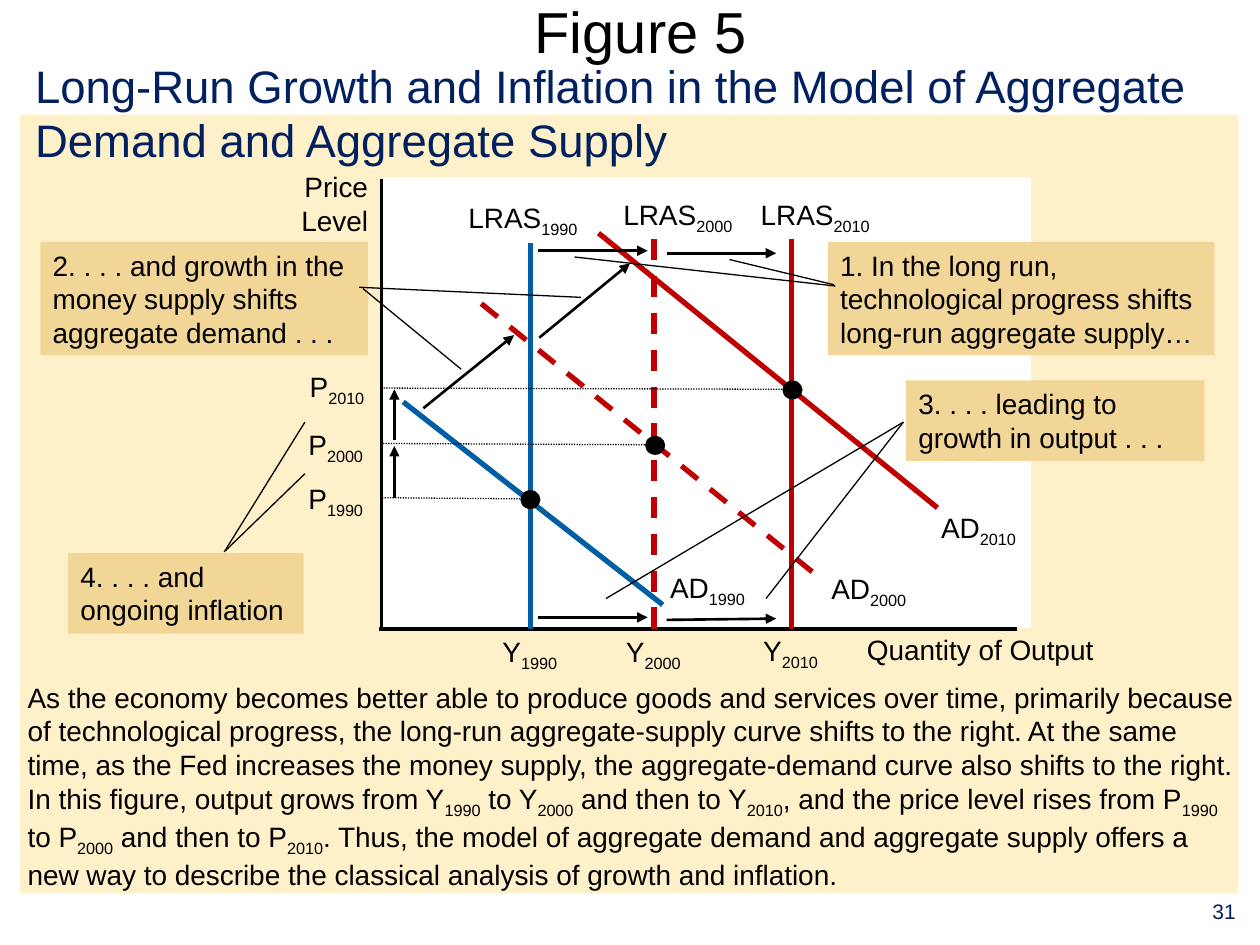
from lxml import etree
from pptx import Presentation
from pptx.dml.color import RGBColor
from pptx.enum.dml import MSO_LINE
from pptx.enum.shapes import MSO_CONNECTOR, MSO_SHAPE
from pptx.enum.text import MSO_ANCHOR, MSO_AUTO_SIZE, PP_ALIGN
from pptx.oxml.ns import qn
from pptx.util import Inches, Pt

BLACK = RGBColor(0x00, 0x00, 0x00)
WHITE = RGBColor(0xFF, 0xFF, 0xFF)
NAVY = RGBColor(0x00, 0x20, 0x60)
BLUE = RGBColor(0x00, 0x5E, 0xA4)
RED = RGBColor(0xC0, 0x00, 0x00)
CREAM = RGBColor(0xFE, 0xF0, 0xC8)
TAN = RGBColor(0xF2, 0xD6, 0x98)
LEFT, CENTER, RIGHT = PP_ALIGN.LEFT, PP_ALIGN.CENTER, PP_ALIGN.RIGHT
TOP, MIDDLE = MSO_ANCHOR.TOP, MSO_ANCHOR.MIDDLE
DASH, DOTS = MSO_LINE.DASH, MSO_LINE.ROUND_DOT
STRAIGHT = MSO_CONNECTOR.STRAIGHT
RECTANGLE, OVAL = MSO_SHAPE.RECTANGLE, MSO_SHAPE.OVAL
NO_AUTOFIT = MSO_AUTO_SIZE.NONE


def write_text(box, text, size=16, color=BLACK, align=LEFT, anchor=TOP, wrap=True, before=0):
    frame = box.text_frame
    frame.auto_size = NO_AUTOFIT
    frame.word_wrap = wrap
    frame.vertical_anchor = anchor
    for number, line in enumerate(text.split("\n")):
        para = frame.add_paragraph() if number else frame.paragraphs[0]
        para.alignment = align
        para.space_before = Pt(before)
        first, *rest = line.split("_")
        pieces = [(first, False)]
        for part in rest:
            pieces += [(part[:4], True), (part[4:], False)]
        for piece, lowered in pieces:
            if not piece:
                continue
            span = para.add_run()
            span.text = piece
            span.font.name = "Arial"
            span.font.size = Pt(size)
            span.font.color.rgb = color
            if lowered:
                span._r.get_or_add_rPr().set("baseline", "-25000")


def draw_line(start, end, color=BLACK, width=0.75, dash=None, arrow=False):
    line = page.shapes.add_connector(STRAIGHT, *[Inches(value) for value in (*start, *end)])
    line.line.color.rgb = color
    line.line.width = Pt(width)
    if dash is not None:
        line.line.dash_style = dash
    if arrow:
        etree.SubElement(line.line._get_or_add_ln(), qn("a:tailEnd"), type="triangle")
    etree.SubElement(line._element.spPr, qn("a:effectLst"))


deck = Presentation()
deck.slide_width, deck.slide_height = Inches(10), Inches(7.5)
page = deck.slides.add_slide(deck.slide_layouts[5])

title = page.shapes.title
title.left, title.top, title.width, title.height = Inches(0.35), Inches(0), Inches(9.47), Inches(0.49)
write_text(title, "Figure 5", size=33, align=CENTER, anchor=MIDDLE)

panel = page.shapes.add_shape(RECTANGLE, Inches(0.16), Inches(0.91), Inches(9.67), Inches(6.18))
panel.shadow.inherit = False
panel.fill.solid()
panel.fill.fore_color.rgb = CREAM
panel.line.fill.background()

draw_line((3.03, 1.42), (3.03, 4.99), width=2.25)
plot = page.shapes.add_shape(RECTANGLE, Inches(3.05), Inches(1.42), Inches(5.12), Inches(3.55))
plot.shadow.inherit = False
plot.fill.solid()
plot.fill.fore_color.rgb = WHITE
plot.line.color.rgb = WHITE
plot.line.width = Pt(2)
draw_line((3.01, 4.99), (8.07, 4.99), width=2.25)

explanation = (
    "As the economy becomes better able to produce goods and services over time, primarily because "
    "of technological progress, the long-run aggregate-supply curve shifts to the right. At the same "
    "time, as the Fed increases the money supply, the aggregate-demand curve also shifts to the right. "
    "In this figure, output grows from Y_1990 to Y_2000 and then to Y_2010, and the price level rises "
    "from P_1990 to P_2000 and then to P_2010. Thus, the model of aggregate demand and aggregate supply "
    "offers a new way to describe the classical analysis of growth and inflation."
)
subtitle = "Long-Run Growth and Inflation in the Model of Aggregate Demand and Aggregate Supply"
texts = [
    (subtitle, 0.18, 0.41, 9.47, 0.97, {"size": 26, "color": NAVY, "before": 6.5}),
    (explanation, 0.12, 5.35, 9.82, 1.78, {"before": 4}),
    ("Price\nLevel", 2.29, 1.3, 0.73, 0.64, {"align": RIGHT, "wrap": False}),
    ("Quantity of Output", 6.78, 4.97, 2, 0.37, {"align": CENTER, "wrap": False}),
    ("31", 9.43, 7.08, 0.57, 0.41, {"size": 12, "color": NAVY, "align": CENTER}),
]

periods = [
    ("1990", BLUE, None, 4.21, 1.93, (3.2, 3.19), (5.26, 4.8), (4.21, 3.96),
     (3.62, 1.54), (3.89, 4.99), (5.22, 4.48), (2.35, 3.77)),
    ("2000", RED, DASH, 5.19, 1.9, (3.82, 2.41), (6.51, 4.59), (5.2, 3.53),
     (4.85, 1.52), (4.87, 4.99), (6.5, 4.49), (2.35, 3.34)),
    ("2010", RED, None, 6.28, 1.9, (4.75, 1.85), (7.44, 4.03), (6.29, 3.09),
     (5.94, 1.52), (5.96, 4.98), (7.37, 4), (2.36, 2.88)),
]
for year, color, dash, supply_x, supply_top, start, end, point, lras, output, demand, price in periods:
    draw_line((supply_x, supply_top), (supply_x, 4.99), color, 3, dash)
    draw_line(start, end, color, 3, dash)
    draw_line(point, (3.04, point[1] - 0.01), dash=DOTS)
    dot = page.shapes.add_shape(
        OVAL, Inches(point[0] - 0.08), Inches(point[1] - 0.07), Inches(0.16), Inches(0.15))
    dot.shadow.inherit = False
    dot.fill.solid()
    dot.fill.fore_color.rgb = BLACK
    dot.line.fill.background()
    for name, place, width, align in (
        ("LRAS_", lras, 1.06, CENTER), ("Y_", output, 0.63, CENTER),
        ("AD_", demand, 0.79, CENTER), ("P_", price, 0.63, RIGHT),
    ):
        texts.append((name + year, *place, width, 0.41, {"align": align, "wrap": False}))

for text, left, top, width, height, style in texts:
    box = page.shapes.add_textbox(Inches(left), Inches(top), Inches(width), Inches(height))
    write_text(box, text, **style)

arrows = [
    ((4.27, 1.99), (5.14, 1.99)), ((5.29, 2.01), (6.16, 2.01)),
    ((4.27, 4.9), (5.14, 4.9)), ((5.29, 4.92), (6.16, 4.91)),
    ((3.36, 3.24), (4.08, 2.66)), ((4.28, 2.68), (5, 2.09)),
    ((3.13, 3.95), (3.13, 3.54)), ((3.13, 3.49), (3.13, 3.09)),
]
for start, end in arrows:
    draw_line(start, end, width=1.5, arrow=True)

callouts = [
    ("1. In the long run, technological progress shifts long-run aggregate supply…",
     6.57, 1.92, 3.07, 0.9, [((6.63, 2.27), (4.56, 2.04)), ((6.62, 2.26), (5.79, 2.06))]),
    ("2. . . . and growth in the money supply shifts aggregate demand . . .",
     0.32, 1.92, 2.6, 0.9, [((2.85, 2.28), (4.61, 2.36)), ((2.88, 2.29), (3.66, 2.93))]),
    ("3. . . . leading to growth in output . . .",
     7.19, 3.02, 2.37, 0.64, [((7.17, 3.35), (4.81, 4.75)), ((7.17, 3.35), (6.08, 4.75))]),
    ("4. . . . and\nongoing inflation",
     0.54, 4.39, 1.87, 0.64, [((1.78, 4.38), (2.42, 3.35)), ((1.79, 4.37), (2.42, 3.76))]),
]
for text, left, top, width, height, leaders in callouts:
    callout = page.shapes.add_shape(RECTANGLE, Inches(left), Inches(top), Inches(width), Inches(height))
    callout.shadow.inherit = False
    callout.fill.solid()
    callout.fill.fore_color.rgb = TAN
    callout.line.fill.background()
    write_text(callout, text)
    for start, end in leaders:
        draw_line(start, end)

deck.save("out.pptx")
